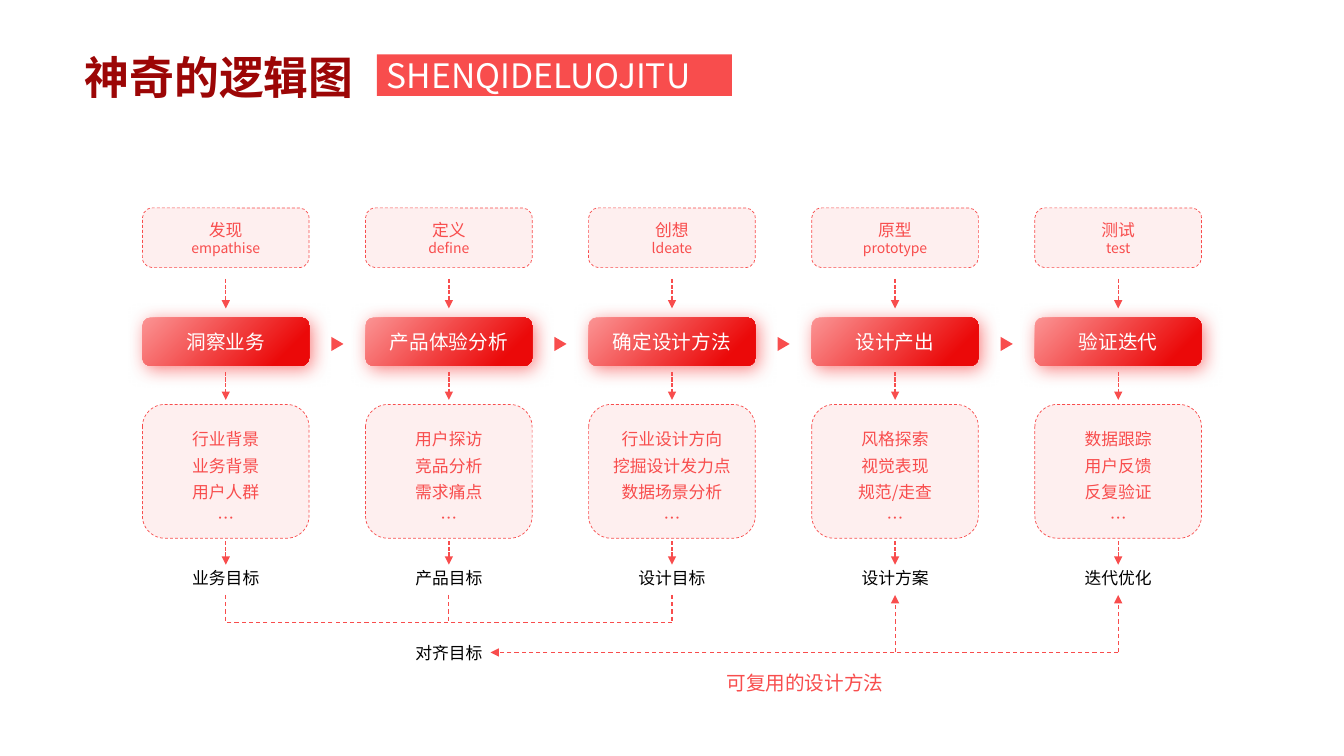
from dataclasses import dataclass
from typing import Any, Sequence

import pptx
import pptx.dml.color
import pptx.enum.dml
import pptx.enum.shapes
import pptx.enum.text
import pptx.oxml
import pptx.oxml.ns
import pptx.util

RGBColor = pptx.dml.color.RGBColor
Shape = pptx.enum.shapes.MSO_SHAPE
Dash = pptx.enum.dml.MSO_LINE
Align = pptx.enum.text.PP_ALIGN
Anchor = pptx.enum.text.MSO_ANCHOR
qn = pptx.oxml.ns.qn

CORAL = RGBColor(0xF8, 0x4D, 0x4D)
PALE = RGBColor(0xFE, 0xDB, 0xDB)
PINK = RGBColor(0xFB, 0x94, 0x94)
RED = RGBColor(0xEB, 0x09, 0x09)
MAROON = RGBColor(0x9C, 0x06, 0x06)
WHITE = RGBColor(0xFF, 0xFF, 0xFF)
BLACK = RGBColor(0, 0, 0)
FONT_SC = "Noto Sans CJK SC"
FONT_JP = "Noto Sans CJK JP"

SLIDE_WIDTH = pptx.util.Inches(13.33)
SLIDE_HEIGHT = pptx.util.Inches(7.5)

# Lengths are percentages of the slide's width (x) or height (y).
COLUMN_PITCH = 16.6
BOX_WIDTH = 12.4
LABEL_WIDTH = 8.4
LABEL_HEIGHT = 4.4
GOAL_TOP = 74.3
ALIGNED_GOAL_TOP = 84.1
GOAL_BOTTOM = 78.7
MERGE_LEVEL = 82.3
RETURN_LEVEL = 86.3


@dataclass(frozen=True)
class Row:
    top: float
    height: float


@dataclass(frozen=True)
class Stage:
    name: str
    english: str
    task: str
    details: Sequence[str]
    goal: str


STAGE_ROW = Row(27.5, 7.9)
TASK_ROW = Row(42, 6.4)
DETAIL_ROW = Row(53.5, 17.7)
ARROW_ROWS = [Row(36.9, 3.9), Row(49.2, 3.7), Row(71.6, 3.1)]

STAGES = [
    Stage("发现", "empathise", "洞察业务", ["行业背景", "业务背景", "用户人群", "…"], "业务目标"),
    Stage("定义", "define", "产品体验分析", ["用户探访", "竞品分析", "需求痛点", "…"], "产品目标"),
    Stage("创想", "ldeate", "确定设计方法", ["行业设计方向", "挖掘设计发力点", "数据场景分析", "…"], "设计目标"),
    Stage("原型", "prototype", "设计产出", ["风格探索", "视觉表现", "规范/走查", "…"], "设计方案"),
    Stage("测试", "test", "验证迭代", ["数据跟踪", "用户反馈", "反复验证", "…"], "迭代优化"),
]


def across(percent: float) -> int:
    return round(SLIDE_WIDTH * percent / 100)


def down(percent: float) -> int:
    return round(SLIDE_HEIGHT * percent / 100)


def frame(left: float, top: float, width: float, height: float) -> tuple[int, int, int, int]:
    return across(left), down(top), across(width), down(height)


def column_centre(column: int) -> float:
    return 50 + COLUMN_PITCH * (column - 2)


def write_text(shape: Any, lines: Sequence[str], *, size: float, color: RGBColor,
               font: str = FONT_JP, later_size: float | None = None, bold: bool = False,
               align: Any = Align.CENTER, anchor: Any = Anchor.MIDDLE, spacing: float = 1,
               side_margin: float = 0, top_margin: float = 0, wrap: bool = False) -> None:
    """Fill a shape with one paragraph a line; later_size applies after the first."""
    text_frame = shape.text_frame
    text_frame.auto_size = pptx.enum.text.MSO_AUTO_SIZE.NONE
    text_frame.word_wrap = wrap
    text_frame.vertical_anchor = anchor
    text_frame.margin_left = text_frame.margin_right = pptx.util.Inches(side_margin)
    text_frame.margin_top = pptx.util.Inches(top_margin)
    text_frame.margin_bottom = 0
    for index, line in enumerate(lines):
        paragraph = text_frame.add_paragraph() if index else text_frame.paragraphs[0]
        paragraph.alignment = align
        paragraph.line_spacing = spacing
        run = paragraph.add_run()
        run.text = line
        run.font.size = pptx.util.Pt(later_size if index and later_size else size)
        run.font.bold = bold
        run.font.color.rgb = color
        run.font.name = font
        latin = run.font._element.find(qn("a:latin"))
        east_asian = pptx.oxml.parse_xml(
            f'<a:ea {pptx.oxml.ns.nsdecls("a")} typeface="{font}"/>')
        latin.addnext(east_asian)


def fill_gradient(fill: Any, start: RGBColor, end: RGBColor, angle: float, end_at: float) -> None:
    fill.gradient()
    fill.gradient_angle = angle
    first, last = fill.gradient_stops
    first.color.rgb, last.color.rgb = start, end
    first.position, last.position = 0, end_at


def add_plain_shape(slide: Any, kind: Any, box: tuple[int, int, int, int], color: RGBColor) -> Any:
    shape = slide.shapes.add_shape(kind, *box)
    shape.shadow.inherit = False
    shape.fill.solid()
    shape.fill.fore_color.rgb = color
    shape.line.fill.background()
    return shape


def add_column_box(slide: Any, column: int, row: Row) -> Any:
    box = frame(column_centre(column) - BOX_WIDTH / 2, row.top, BOX_WIDTH, row.height)
    return add_plain_shape(slide, Shape.ROUNDED_RECTANGLE, box, PALE)


def add_dashed_box(slide: Any, column: int, row: Row) -> Any:
    shape = add_column_box(slide, column, row)
    color = shape._element.spPr.find(qn("a:solidFill"))[0]
    color.append(pptx.oxml.parse_xml(f'<a:alpha {pptx.oxml.ns.nsdecls("a")} val="43000"/>'))
    shape.line.color.rgb = CORAL
    shape.line.width = pptx.util.Pt(0.5)
    shape.line.dash_style = Dash.DASH
    return shape


def add_glowing_box(slide: Any, column: int, row: Row) -> Any:
    shape = add_column_box(slide, column, row)
    fill_gradient(shape.fill, PINK, RED, 315, 0.84)
    shape._element.spPr.find(qn("a:effectLst")).append(pptx.oxml.parse_xml(
        f'<a:outerShdw {pptx.oxml.ns.nsdecls("a")} blurRad="{pptx.util.Pt(13)}" '
        f'dist="{pptx.util.Pt(3)}" dir="2700000" algn="tl" rotWithShape="0">'
        f'<a:srgbClr val="{CORAL}"><a:alpha val="70000"/></a:srgbClr></a:outerShdw>'))
    return shape


def add_line(slide: Any, start: tuple[float, float], end: tuple[float, float], *,
             width: float = 0.75, dash: Any = Dash.DASH, arrow: bool = False) -> None:
    connector = slide.shapes.add_connector(
        pptx.enum.shapes.MSO_CONNECTOR.STRAIGHT,
        across(start[0]), down(start[1]), across(end[0]), down(end[1]))
    connector.line.color.rgb = CORAL
    connector.line.width = pptx.util.Pt(width)
    connector.line.dash_style = dash
    properties = connector._element.spPr
    namespace = pptx.oxml.ns.nsdecls("a")
    if arrow:
        properties.find(qn("a:ln")).append(
            pptx.oxml.parse_xml(f'<a:tailEnd {namespace} type="triangle"/>'))
    properties.append(pptx.oxml.parse_xml(f"<a:effectLst {namespace}/>"))


def add_label(slide: Any, centre: float, top: float, text: str, *,
              size: float = 12, color: RGBColor = BLACK) -> None:
    box = frame(centre - LABEL_WIDTH / 2, top, LABEL_WIDTH, LABEL_HEIGHT)
    write_text(slide.shapes.add_textbox(*box), [text], size=size, color=color)


def add_heading(slide: Any) -> None:
    title = slide.shapes.title
    title.left, title.top, title.width, title.height = frame(5.55, 5.87, 26, 8.5)
    write_text(title, ["神奇的逻辑图"], size=32, color=MAROON, font=FONT_SC, bold=True,
               align=Align.LEFT, anchor=Anchor.TOP, side_margin=0.1, top_margin=0.05, wrap=True)
    fill_gradient(title.text_frame.paragraphs[0].runs[0].font.fill, MAROON, CORAL, 135, 1)
    banner = add_plain_shape(slide, Shape.RECTANGLE, frame(28.05, 7.2, 26.4, 5.5), CORAL)
    write_text(banner, ["SHENQIDELUOJITU"], size=24, color=WHITE,
               align=Align.JUSTIFY, side_margin=0.1, wrap=True)


def add_stage(slide: Any, column: int, stage: Stage) -> None:
    centre = column_centre(column)
    write_text(add_dashed_box(slide, column, STAGE_ROW), [stage.name, stage.english],
               size=12, later_size=10, color=CORAL)
    write_text(add_glowing_box(slide, column, TASK_ROW), [stage.task],
               size=14, color=WHITE, font=FONT_SC)
    write_text(add_dashed_box(slide, column, DETAIL_ROW), stage.details, size=12, color=CORAL,
               anchor=Anchor.TOP, spacing=1.3, top_margin=0.12)
    for row in ARROW_ROWS:
        add_line(slide, (centre, row.top), (centre, row.top + row.height),
                 width=1, dash=Dash.SQUARE_DOT, arrow=True)
    add_label(slide, centre, GOAL_TOP, stage.goal)


def add_next_marker(slide: Any, column: int) -> None:
    centre = column_centre(column) + COLUMN_PITCH / 2
    marker = add_plain_shape(slide, Shape.ISOSCELES_TRIANGLE,
                             frame(centre - 0.52, 44.7, 1.05, 1.6), CORAL)
    marker.rotation = 90


def add_goal_links(slide: Any) -> None:
    centres = [column_centre(column) for column in range(len(STAGES))]
    add_line(slide, (centres[2], MERGE_LEVEL), (centres[0], MERGE_LEVEL))
    for centre in centres[:3]:
        add_line(slide, (centre, GOAL_BOTTOM), (centre, MERGE_LEVEL))
    add_label(slide, centres[1], ALIGNED_GOAL_TOP, "对齐目标")
    add_line(slide, (centres[4], RETURN_LEVEL), (36.5, RETURN_LEVEL), arrow=True)
    for centre in centres[3:]:
        add_line(slide, (centre, RETURN_LEVEL), (centre, GOAL_BOTTOM), arrow=True)
    add_label(slide, 59.9, 88.1, "可复用的设计方法", size=14, color=CORAL)


def main() -> None:
    presentation = pptx.Presentation()
    presentation.slide_width, presentation.slide_height = SLIDE_WIDTH, SLIDE_HEIGHT
    slide = presentation.slides.add_slide(presentation.slide_layouts[5])
    add_heading(slide)
    for column, stage in enumerate(STAGES):
        add_stage(slide, column, stage)
    for column in range(len(STAGES) - 1):
        add_next_marker(slide, column)
    add_goal_links(slide)
    presentation.save("out.pptx")


if __name__ == "__main__":
    main()
